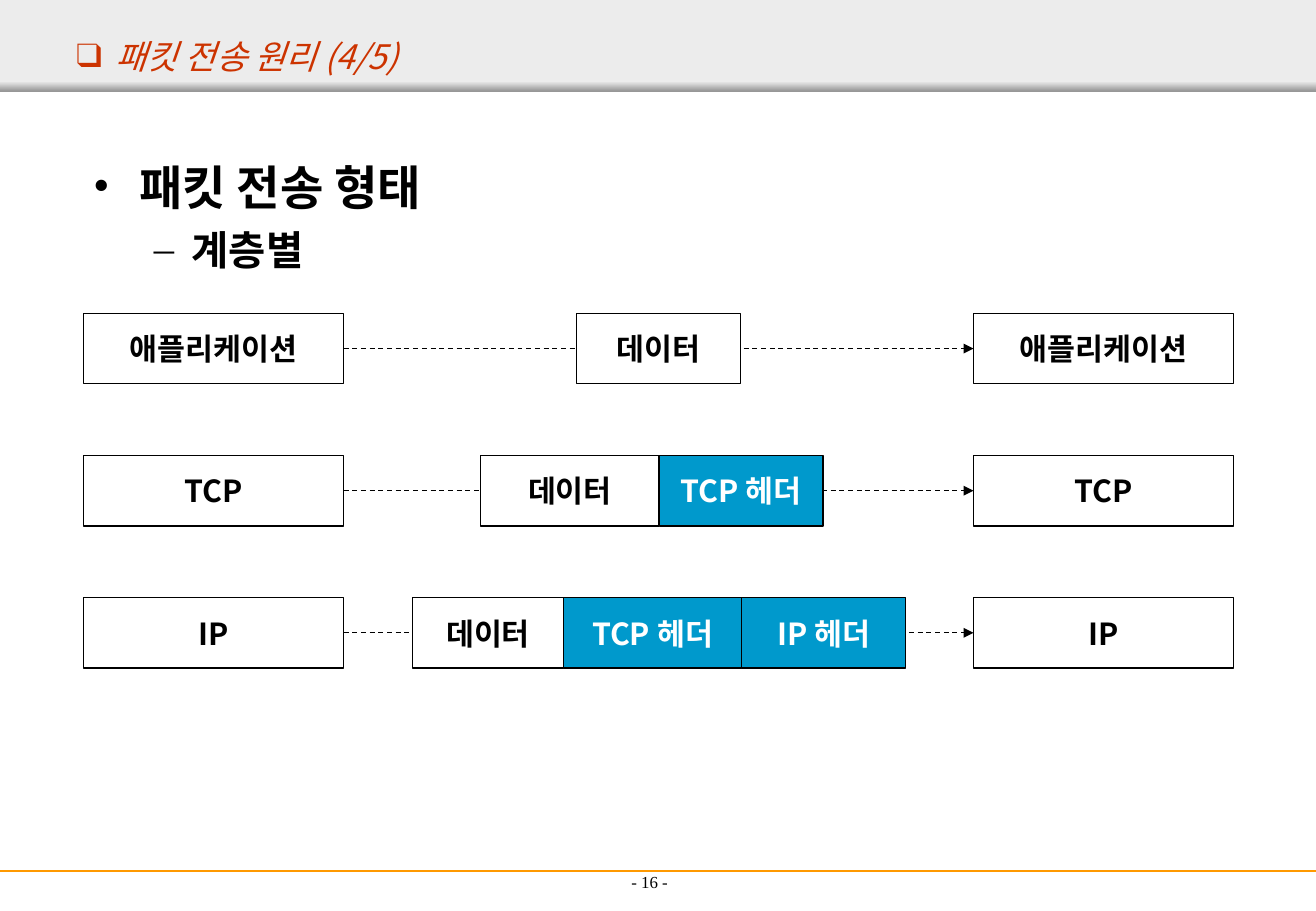
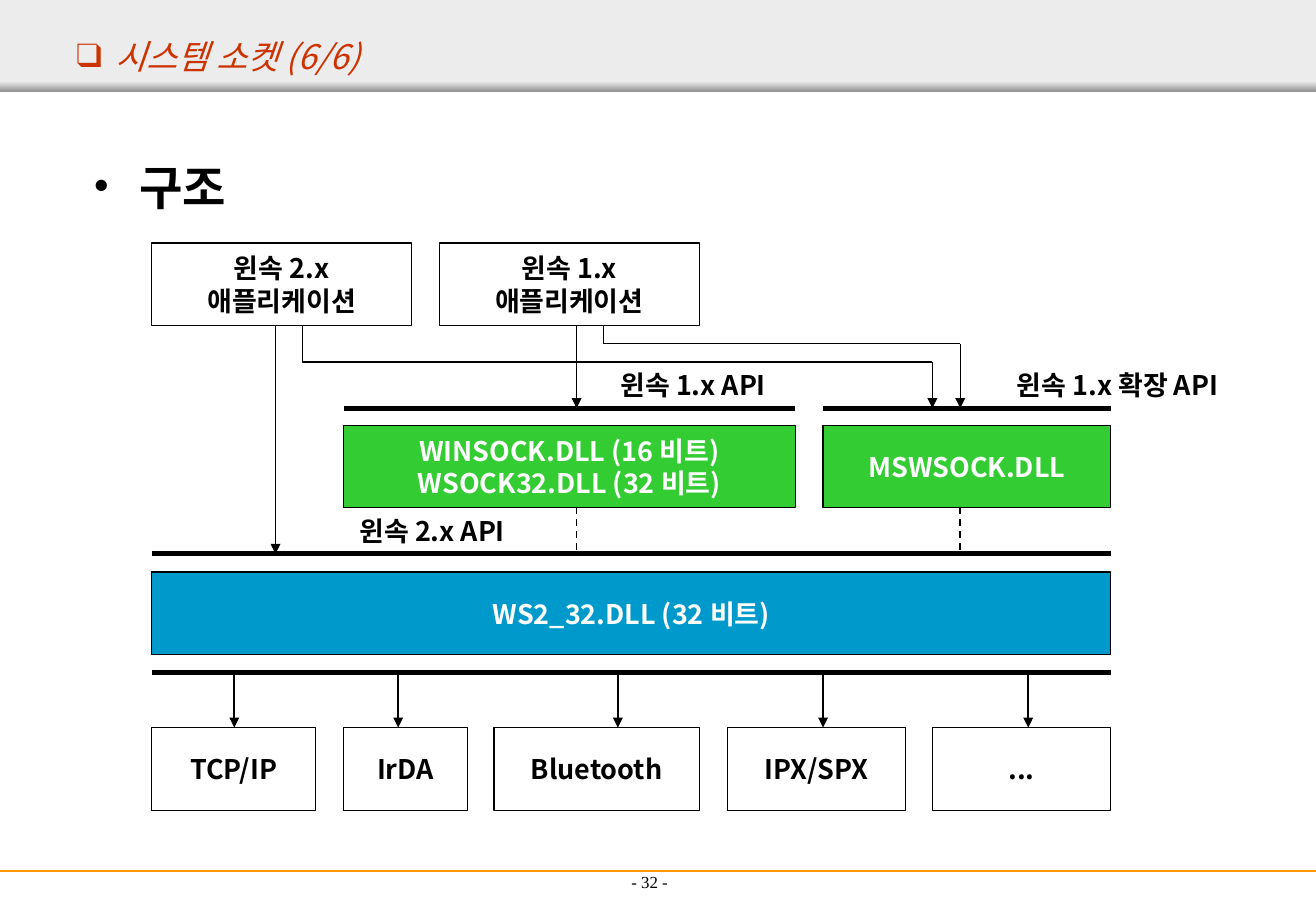
import itertools
import pptx
import pptx.util
import pptx.dml.color
import pptx.enum.dml
import pptx.enum.shapes
import pptx.enum.text
import pptx.oxml.ns
import lxml.etree

Inches, Pt = pptx.util.Inches, pptx.util.Pt
RGB = pptx.dml.color.RGBColor.from_string
qn = pptx.oxml.ns.qn
ALIGN, ANCHOR = pptx.enum.text.PP_ALIGN, pptx.enum.text.MSO_ANCHOR
RECT = pptx.enum.shapes.MSO_SHAPE.RECTANGLE

COLORS = {"ink": "000000", "white": "FFFFFF", "title": "CC3300", "band": "ECECEC",
          "shade": "979797", "rule": "FF9900", "blue": "0099CC", "green": "33CC33"}
SANS, SERIF = "Noto Sans CJK KR", "Times New Roman"
BULLETS = [
    {"char": "•", "left": 0.38, "hang": 0.38, "size": 28, "before": 0},
    {"char": "–", "left": 0.81, "hang": 0.31, "size": 24, "before": 6},
]


def write(p, text, size, color="ink", name=SANS, bullet=None, **fmt):
    if bullet:
        pPr = p._p.get_or_add_pPr()
        pPr.set("marL", str(Inches(bullet["left"])))
        pPr.set("indent", str(-Inches(bullet["hang"])))
        lxml.etree.SubElement(pPr, qn("a:buFont")).set("typeface", SERIF)
        lxml.etree.SubElement(pPr, qn("a:buChar")).set("char", bullet["char"])
    r = p.add_run()
    r.text = text
    r.font.color.rgb = RGB(COLORS[color])
    for key, value in {"size": Pt(size), "name": name, **fmt}.items():
        setattr(r.font, key, value)
    lxml.etree.SubElement(r.font._element, qn("a:ea")).set("typeface", name)


def draw_path(s, points, width=0.75, color="ink", dash=False, arrow=False):
    for a, b in itertools.pairwise(points):
        cx = s.shapes.add_connector(pptx.enum.shapes.MSO_CONNECTOR.STRAIGHT,
                                    *[Inches(v) for v in (*a, *b)])
        cx.line.width = Pt(width)
        cx.line.color.rgb = RGB(COLORS[color])
        if dash:
            cx.line.dash_style = pptx.enum.dml.MSO_LINE.DASH
        if arrow and b == points[-1]:
            lxml.etree.SubElement(cx.line._get_or_add_ln(), qn("a:tailEnd")).set("type", "triangle")
        lxml.etree.SubElement(cx._element.spPr, qn("a:effectLst"))
    return cx


left, right, side_w, row_h = 0.69, 8.02, 2.14, 0.58
packet_boxes, packet_paths = [], []
packet_rows = [
    ("애플리케이션", 4.75, [("데이터", 1.35, "white")]),
    ("TCP", 3.96, [("데이터", 1.47, "white"), ("TCP 헤더", 1.35, "blue")]),
    ("IP", 3.4, [("데이터", 1.24, "white"), ("TCP 헤더", 1.47, "blue"), ("IP 헤더", 1.35, "blue")]),
]
for i, (layer, x, parts) in enumerate(packet_rows):
    y = 2.58 + 1.17 * i
    mid = y + row_h / 2
    packet_paths.append(([(left + side_w, mid), (right, mid)], {"dash": True, "arrow": True}))
    packet_boxes += [(layer, side_x, y, side_w, row_h, None) for side_x in (left, right)]
    for text, w, fill in parts:
        packet_boxes.append((text, x, y, w, row_h, fill))
        x += w

box_h, app_bottom, api_y, core_y, base_y, proto_y = 0.68, 2.68, 3.36, 4.56, 5.54, 5.99
socket_boxes = [
    ("윈속 2.x\n애플리케이션", 1.25, 2, 2.14, box_h, None),
    ("윈속 1.x\n애플리케이션", 3.62, 2, 2.14, box_h, None),
    ("WINSOCK.DLL (16 비트)\nWSOCK32.DLL (32 비트)", 2.83, 3.5, 3.72, box_h, "green"),
    ("MSWSOCK.DLL", 6.78, 3.5, 2.37, box_h, "green"),
    ("WS2_32.DLL (32 비트)", 1.25, 4.71, 7.9, box_h, "blue"),
]
socket_labels = [
    ("윈속 1.x API", 4.64, 2.83, 2.14, box_h),
    ("윈속 2.x API", 2.49, 4.03, 2.14, box_h),
    ("윈속 1.x 확장 API", 8.02, 2.83, 2.37, box_h),
]
socket_paths = [([(x1, y), (x2, y)], {"width": 3}) for x1, x2, y in
                [(2.83, 6.55, api_y), (6.78, 9.15, api_y), (1.25, 9.15, core_y), (1.25, 9.15, base_y)]]
socket_paths += [([(x, app_bottom), (x, y)], {"width": 1, "arrow": True})
                 for x, y in [(2.27, core_y), (4.75, api_y)]]
socket_paths += [([(x, 4.18), (x, core_y)], {"width": 1, "dash": True}) for x in (4.75, 7.91)]
socket_paths += [([(x1, app_bottom), (x1, y), (x2, y), (x2, api_y)], {"arrow": True})
                 for x1, x2, y in [(2.49, 7.68, 2.98), (4.97, 7.91, 2.83)]]
for text, x, w, arrow_x in [("TCP/IP", 1.25, 1.35, 1.93), ("IrDA", 2.83, 1.02, 3.28),
                            ("Bluetooth", 4.07, 1.69, 5.09), ("IPX/SPX", 5.99, 1.47, 6.78),
                            ("...", 7.68, 1.47, 8.47)]:
    socket_boxes.append((text, x, proto_y, w, box_h, None))
    socket_paths.append(([(arrow_x, base_y), (arrow_x, proto_y)], {"width": 1, "arrow": True}))

slides = [
    {"title": "패킷 전송 원리 (4/5)", "page": 16, "body": ["패킷 전송 형태", "계층별"], "size": 18,
     "paths": packet_paths, "boxes": packet_boxes, "labels": []},
    {"title": "시스템 소켓 (6/6)", "page": 32, "body": ["구조"], "size": 16,
     "paths": socket_paths, "boxes": socket_boxes, "labels": socket_labels},
]

prs = pptx.Presentation()
prs.slide_width, prs.slide_height = Inches(10.84), Inches(7.5)
layout = prs.slide_layouts[5]

for n, data in enumerate(slides):
    s = prs.slides.add_slide(layout)

    if n == 0:
        band = s.shapes.add_shape(RECT, 0, 0, prs.slide_width, Inches(0.75))
        band.fill.solid()
        band.fill.fore_color.rgb = RGB(COLORS["band"])
        edge = s.shapes.add_shape(RECT, 0, Inches(0.67), prs.slide_width, Inches(0.08))
        edge.fill.gradient()
        edge.fill.gradient_angle = 270
        for stop, position, color in zip(edge.fill.gradient_stops, (0, 1), ("band", "shade")):
            stop.position = position
            stop.color.rgb = RGB(COLORS[color])
        for sp in (band, edge):
            sp.line.fill.background()
            sp.shadow.inherit = False
        rule = draw_path(s, [(0, 7.17), (10.84, 7.17)], width=1.5, color="rule")
        for i, sp in enumerate((band, edge, rule)):
            layout.shapes._spTree.insert(2 + i, sp._element)

    title = s.shapes.title
    for key, value in {"left": 0.53, "top": 0.25, "width": 10.31, "height": 0.42}.items():
        setattr(title, key, Inches(value))
    title.text_frame.vertical_anchor = ANCHOR.MIDDLE
    title.text_frame.auto_size = pptx.enum.text.MSO_AUTO_SIZE.NONE
    p = title.text_frame.paragraphs[0]
    p.alignment = ALIGN.LEFT
    write(p, data["title"], 20, "title", italic=True,
          bullet={"char": "❑", "left": 0.32, "hang": 0.32})

    tf = s.shapes.add_textbox(Inches(0.67), Inches(1.25), Inches(9.5), Inches(1.1)).text_frame
    tf.word_wrap = True
    for i, (text, bullet) in enumerate(zip(data["body"], BULLETS)):
        p = tf.add_paragraph() if i else tf.paragraphs[0]
        p.level = i
        p.space_before = Pt(bullet["before"])
        write(p, text, bullet["size"], bullet=bullet, bold=True)

    for points, style in data["paths"]:
        draw_path(s, points, **style)

    items = []
    for text, x, y, w, h, fill in data["boxes"]:
        sp = s.shapes.add_shape(RECT, *[Inches(v) for v in (x, y, w, h)])
        sp.shadow.inherit = False
        sp.line.width = Pt(0.75)
        sp.line.color.rgb = RGB(COLORS["ink"])
        if fill:
            sp.fill.solid()
            sp.fill.fore_color.rgb = RGB(COLORS[fill])
        else:
            sp.fill.background()
        items.append((sp, text, "white" if fill in ("blue", "green") else "ink"))
    for text, *at in data["labels"]:
        items.append((s.shapes.add_textbox(*[Inches(v) for v in at]), text, "ink"))
    for sp, text, color in items:
        tf = sp.text_frame
        tf.word_wrap = False
        tf.vertical_anchor = ANCHOR.MIDDLE
        for i, row in enumerate(text.split("\n")):
            p = tf.add_paragraph() if i else tf.paragraphs[0]
            p.alignment = ALIGN.CENTER
            write(p, row, data["size"], color, bold=True)

    tf = s.shapes.add_textbox(Inches(3.69), Inches(6.89), Inches(3.32), Inches(0.5)).text_frame
    tf.word_wrap = True
    tf.vertical_anchor = ANCHOR.BOTTOM
    tf.paragraphs[0].alignment = ALIGN.CENTER
    write(tf.paragraphs[0], f"- {data['page']} -", 10, name=SERIF)

prs.save("out.pptx")
